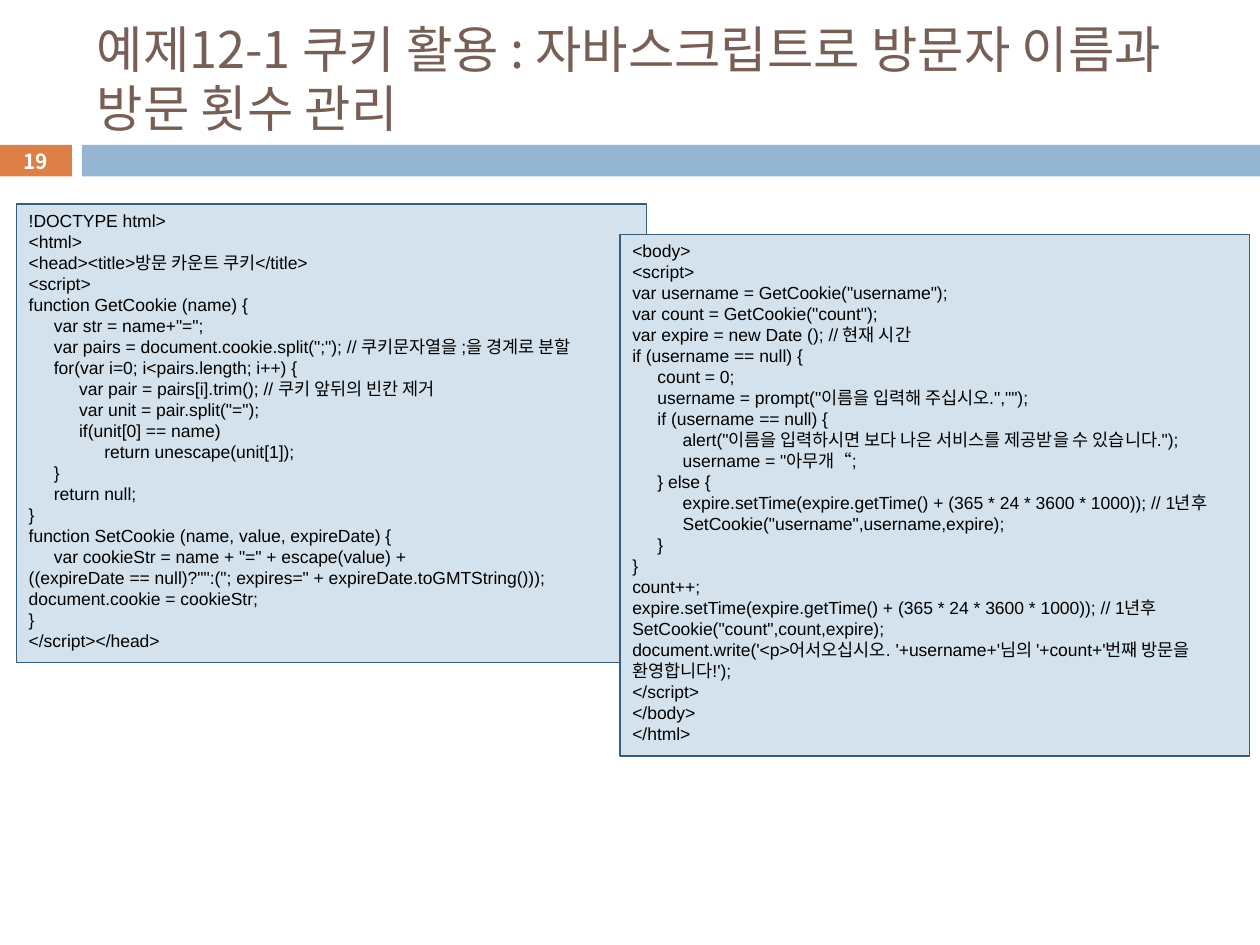
from lxml import etree
from pptx import Presentation
from pptx.dml.color import RGBColor
from pptx.enum.shapes import MSO_SHAPE
from pptx.enum.text import MSO_ANCHOR, PP_ALIGN
from pptx.oxml.ns import qn
from pptx.util import Inches, Pt

RECTANGLE = MSO_SHAPE.RECTANGLE
TOP, MIDDLE = MSO_ANCHOR.TOP, MSO_ANCHOR.MIDDLE
LEFT, CENTER = PP_ALIGN.LEFT, PP_ALIGN.CENTER

ORANGE = RGBColor(0xDD, 0x80, 0x47)
BLUE = RGBColor(0x94, 0xB6, 0xD2)
BROWN = RGBColor(0x77, 0x5F, 0x55)
WHITE = RGBColor(0xFF, 0xFF, 0xFF)
BLACK = RGBColor(0x00, 0x00, 0x00)
PANEL_FILL = RGBColor(0xD4, 0xE2, 0xED)
PANEL_LINE = RGBColor(0x35, 0x5D, 0x7E)

KOREAN_FONT = "Noto Sans CJK KR"
CODE_FONT = "Arial"
TAB_STEP = 0.2
TAB_LEVELS = 3

TITLE = "예제12-1 쿠키 활용 : 자바스크립트로 방문자 이름과 방문 횟수 관리"

HEAD_CODE = """!DOCTYPE html>
<html>
<head><title>방문 카운트 쿠키</title>
<script>
function GetCookie (name) {
\tvar str = name+"=";
\tvar pairs = document.cookie.split(";"); // 쿠키문자열을 ;을 경계로 분할
\tfor(var i=0; i<pairs.length; i++) {
\t\tvar pair = pairs[i].trim(); // 쿠키 앞뒤의 빈칸 제거
\t\tvar unit = pair.split("=");
\t\tif(unit[0] == name)
\t\t\treturn unescape(unit[1]);
\t}
\treturn null;
}
function SetCookie (name, value, expireDate) {
\tvar cookieStr = name + "=" + escape(value) +
((expireDate == null)?"":("; expires=" + expireDate.toGMTString()));
document.cookie = cookieStr;
}
</script></head>"""

BODY_CODE = """<body>
<script>
var username = GetCookie("username");
var count = GetCookie("count");
var expire = new Date (); // 현재 시간
if (username == null) {
\tcount = 0;
\tusername = prompt("이름을 입력해 주십시오.","");
\tif (username == null) {
\t\talert("이름을 입력하시면 보다 나은 서비스를 제공받을 수 있습니다.");
\t\tusername = "아무개“;
\t} else {
\t\texpire.setTime(expire.getTime() + (365 * 24 * 3600 * 1000)); // 1년후
\t\tSetCookie("username",username,expire);
\t}
}
count++;
expire.setTime(expire.getTime() + (365 * 24 * 3600 * 1000)); // 1년후
SetCookie("count",count,expire);
document.write('<p>어서오십시오. '+username+'님의 '+count+'번째 방문을 환영합니다!');
</script>
</body>
</html>"""


def add_rectangle(slide, box, fill, line=None):
    shape = slide.shapes.add_shape(RECTANGLE, *map(Inches, box))
    shape.shadow.inherit = False
    shape.fill.solid()
    shape.fill.fore_color.rgb = fill
    if line is None:
        shape.line.fill.background()
    else:
        shape.line.color.rgb = line
        shape.line.width = Pt(0.75)
    return shape


def format_text(shape, font, size, color, anchor, alignment=LEFT, bold=False, spacing=None):
    text_frame = shape.text_frame
    text_frame.word_wrap = True
    text_frame.vertical_anchor = anchor
    for paragraph in text_frame.paragraphs:
        paragraph.alignment = alignment
        if spacing:
            paragraph.line_spacing = Pt(spacing)
        for run in paragraph.runs:
            run.font.name = font
            run.font.size = Pt(size)
            run.font.bold = bold
            run.font.color.rgb = color
            east_asian = etree.SubElement(run.font._element, qn("a:ea"))
            east_asian.set("typeface", KOREAN_FONT)


def add_tab_stops(paragraph):
    tab_list = etree.SubElement(paragraph._p.get_or_add_pPr(), qn("a:tabLst"))
    for level in range(1, TAB_LEVELS + 1):
        tab = etree.SubElement(tab_list, qn("a:tab"))
        tab.set("pos", str(Inches(TAB_STEP * level)))
        tab.set("algn", "l")


def add_title(slide, box):
    title = slide.shapes.add_textbox(*map(Inches, box))
    title.text_frame.text = TITLE
    format_text(title, KOREAN_FONT, 28.8, BROWN, MIDDLE, spacing=34)


def add_page_bar(slide, left, top, width, height, number):
    number_width, gap = 0.58, 0.08
    bar_left = left + number_width + gap
    badge = add_rectangle(slide, (left, top, number_width, height), ORANGE)
    add_rectangle(slide, (bar_left, top, left + width - bar_left, height), BLUE)
    badge.text_frame.margin_top = badge.text_frame.margin_bottom = 0
    badge.text_frame.text = number
    format_text(badge, KOREAN_FONT, 11.9, WHITE, MIDDLE, CENTER, bold=True)


def add_code_panel(slide, box, code):
    panel = add_rectangle(slide, box, PANEL_FILL, PANEL_LINE)
    panel.text_frame.text = code
    for paragraph in panel.text_frame.paragraphs:
        add_tab_stops(paragraph)
    format_text(panel, CODE_FONT, 10, BLACK, TOP, spacing=12)


def main():
    presentation = Presentation()
    presentation.slide_width = Inches(10)
    presentation.slide_height = Inches(7.5)
    slide = presentation.slides.add_slide(presentation.slide_layouts[6])
    add_page_bar(slide, -0.01, 1.15, 10.01, 0.25, "19")
    add_title(slide, (0.67, 0.25, 8.92, 0.74))
    add_code_panel(slide, (0.13, 1.62, 5, 3.64), HEAD_CODE)
    add_code_panel(slide, (4.92, 1.86, 5, 4.14), BODY_CODE)
    presentation.save("out.pptx")


if __name__ == "__main__":
    main()
